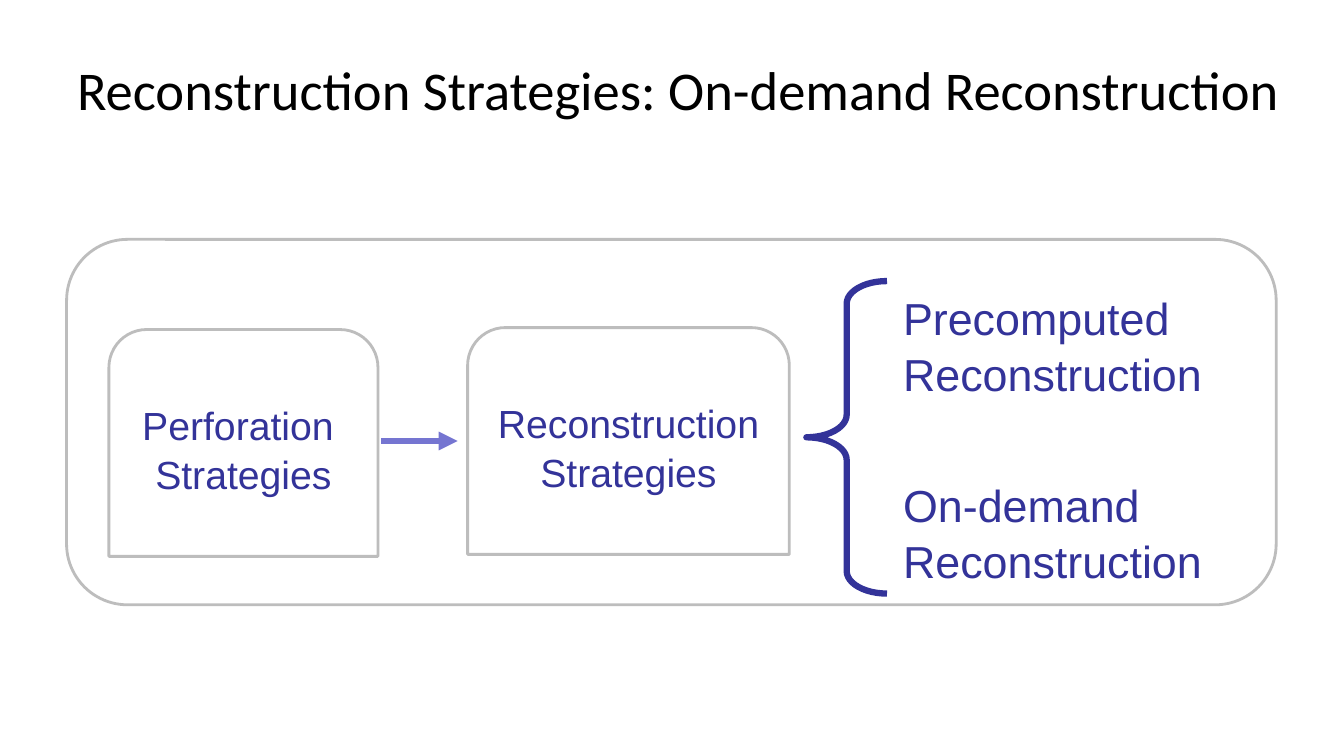
import pptx
import pptx.util
import pptx.dml.color
import pptx.enum.shapes
import pptx.enum.text
import pptx.oxml.ns
import pptx.oxml.xmlchemy

Pt = pptx.util.Pt
KIND = pptx.enum.shapes.MSO_SHAPE
ANCHOR = pptx.enum.text.MSO_ANCHOR
ALIGN = pptx.enum.text.PP_ALIGN
NAVY, GREY, WHITE, BLACK, LILAC = "333399", "BDBDBD", "FFFFFF", "000000", "7575D1"


def color(code):
    return pptx.dml.color.RGBColor.from_string(code)


def add_xml(parent, tag, **attrs):
    node = pptx.oxml.xmlchemy.OxmlElement(tag)
    for name, value in attrs.items():
        node.set(name, value)
    parent.append(node)


def find(shape, tag):
    return next(shape._element.spPr.iter(pptx.oxml.ns.qn(tag)))


def write(shape, text, size, font="Arial", ink=NAVY, align=ALIGN.LEFT,
          anchor=ANCHOR.TOP, space=1.04):
    frame = shape.text_frame
    frame.text = text
    frame.word_wrap = True
    frame.vertical_anchor = anchor
    for para in frame.paragraphs:
        para.alignment = align
        para.line_spacing = space
        for run in para.runs:
            run.font.name = font
            run.font.size = Pt(size)
            run.font.color.rgb = color(ink)


def add_text(slide, box, text, size, **style):
    shape = slide.shapes.add_textbox(*map(Pt, box))
    write(shape, text, size, **style)


def add_shape(slide, kind, box, line, width, fill=None):
    shape = slide.shapes.add_shape(kind, *map(Pt, box))
    shape.shadow.inherit = False
    if fill:
        shape.fill.solid()
        shape.fill.fore_color.rgb = color(fill)
    else:
        shape.fill.background()
    shape.line.color.rgb = color(line)
    shape.line.width = Pt(width)
    return shape


def add_panel(slide, box):
    panel = add_shape(slide, KIND.ROUNDED_RECTANGLE, box, GREY, 2, WHITE)
    add_xml(find(panel, "a:srgbClr"), "a:alpha", val="57000")


def add_stage(slide, box, text):
    stage = add_shape(slide, KIND.ROUND_2_SAME_RECTANGLE, box, GREY, 2, WHITE)
    write(stage, text, 28, align=ALIGN.CENTER, anchor=ANCHOR.MIDDLE)


def add_arrow(slide, left, right, y):
    kind = pptx.enum.shapes.MSO_CONNECTOR.STRAIGHT
    arrow = slide.shapes.add_connector(kind, Pt(left), Pt(y), Pt(right), Pt(y))
    arrow.line.color.rgb = color(LILAC)
    arrow.line.width = Pt(4.5)
    add_xml(find(arrow, "a:ln"), "a:tailEnd", type="triangle")
    add_xml(arrow._element.spPr, "a:effectLst")


def add_brace(slide, box):
    brace = add_shape(slide, KIND.LEFT_BRACE, box, NAVY, 4.5)
    brace.adjustments[0] = 0.28
    brace.adjustments[1] = 0.5


def main():
    deck = pptx.Presentation()
    deck.slide_width, deck.slide_height = Pt(960), Pt(540)
    slide = deck.slides.add_slide(deck.slide_layouts[6])
    add_text(slide, (48, 18, 894, 90),
             "Reconstruction Strategies: On-demand Reconstruction", 39,
             font="Calibri", ink=BLACK, anchor=ANCHOR.MIDDLE, space=1)
    add_panel(slide, (47.6, 171, 864, 261))
    add_stage(slide, (77.8, 235.4, 192.2, 162), "Perforation \nStrategies")
    add_stage(slide, (334, 234, 229.8, 162), "Reconstruction\nStrategies")
    add_arrow(slide, 272.4, 326.9, 315)
    add_brace(slide, (576, 200.8, 57.6, 223.2))
    add_text(slide, (638, 202.4, 282, 85), "Precomputed Reconstruction", 32)
    add_text(slide, (638, 336, 235, 85), "On-demand\nReconstruction", 32)
    deck.save("out.pptx")


if __name__ == "__main__":
    main()
